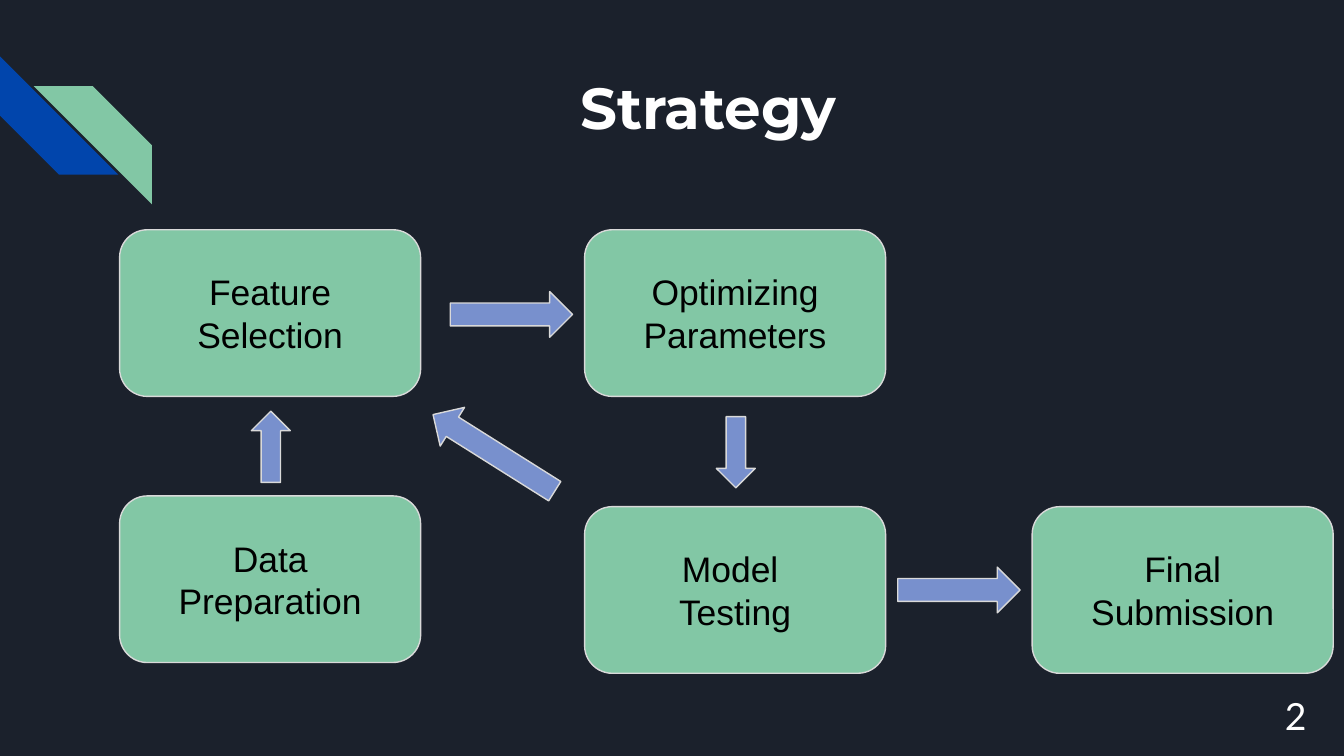
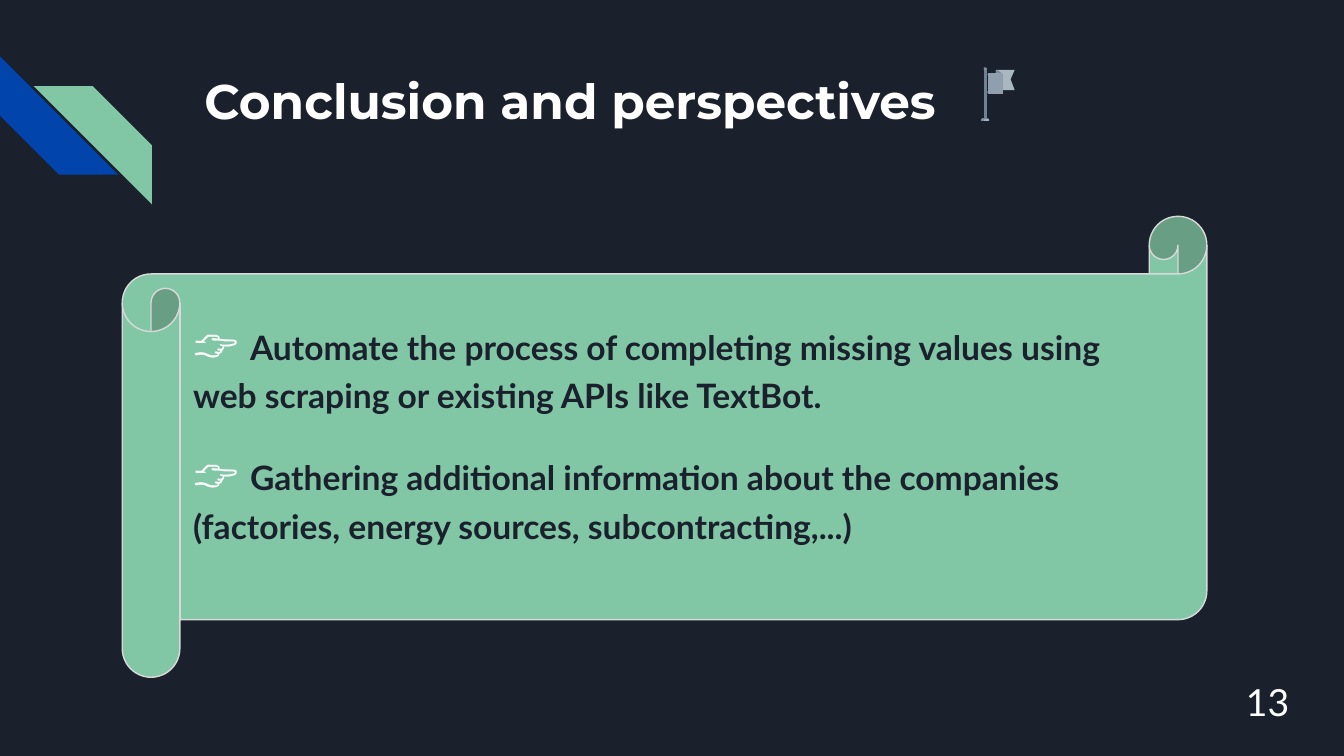
from typing import NamedTuple

from pptx import Presentation
from pptx.dml.color import RGBColor
from pptx.enum.shapes import MSO_SHAPE
from pptx.enum.text import MSO_ANCHOR, MSO_AUTO_SIZE, PP_ALIGN
from pptx.shapes.autoshape import Shape
from pptx.slide import Slide
from pptx.text.text import Font, TextFrame
from pptx.util import Inches, Pt

# Shared style
SLIDE_WIDTH = Inches(10)
SLIDE_HEIGHT = SLIDE_WIDTH * 9 // 16

NAVY = RGBColor(0x1B, 0x21, 0x2C)
BLUE = RGBColor(0x01, 0x45, 0xAC)
GREEN = RGBColor(0x82, 0xC7, 0xA5)
PERIWINKLE = RGBColor(0x78, 0x90, 0xCD)
OUTLINE = RGBColor(0xD9, 0xD9, 0xD9)
WHITE = RGBColor(0xFF, 0xFF, 0xFF)
BLACK = RGBColor(0x00, 0x00, 0x00)
FLAG_TAIL = RGBColor(0xAA, 0xB6, 0xC0)
FLAG_FOLD = RGBColor(0x7A, 0x8C, 0x9C)
FLAG_TIE = RGBColor(0x4B, 0x63, 0x7A)
FLAG_BANNER = RGBColor(0x90, 0x9F, 0xAD)
FLAG_POLE = RGBColor(0x6E, 0x82, 0x94)
FLAG_METAL = RGBColor(0x9F, 0xB3, 0xC4)
FLAG_SHADE = RGBColor(0x7F, 0x8E, 0x9D)

TITLE_FONT = "Montserrat"
BODY_FONT = "Lato"
BOX_FONT = "Arial"

ROUNDED = MSO_SHAPE.ROUNDED_RECTANGLE
STRIPE = MSO_SHAPE.DIAGONAL_STRIPE
SCROLL = MSO_SHAPE.HORIZONTAL_SCROLL
RIGHT_ARROW = MSO_SHAPE.RIGHT_ARROW
LEFT_ARROW = MSO_SHAPE.LEFT_ARROW
UP_ARROW = MSO_SHAPE.UP_ARROW
LEFT = PP_ALIGN.LEFT
CENTER = PP_ALIGN.CENTER
TOP = MSO_ANCHOR.TOP
MIDDLE = MSO_ANCHOR.MIDDLE
NO_AUTOFIT = MSO_AUTO_SIZE.NONE


class Area(NamedTuple):
    left: float
    top: float
    width: float
    height: float


class Step(NamedTuple):
    text: str
    left: float
    top: float


class Arrow(NamedTuple):
    kind: MSO_SHAPE
    area: Area
    rotation: float = 0


class FlagPart(NamedTuple):
    color: RGBColor
    points: list[tuple[float, float]]


# Strategy flow
COLUMNS = (0.89, 4.35, 7.68)
STEP_WIDTH, STEP_HEIGHT = 2.24, 1.24
STEPS = (
    Step("Feature Selection", COLUMNS[0], 1.71),
    Step("Optimizing Parameters", COLUMNS[1], 1.71),
    Step("Data Preparation", COLUMNS[0], 3.69),
    Step("Model \nTesting", COLUMNS[1], 3.77),
    Step("Final Submission", COLUMNS[2], 3.77),
)
ARROWS = (
    Arrow(RIGHT_ARROW, Area(3.35, 2.17, 0.91, 0.34)),
    Arrow(RIGHT_ARROW, Area(6.68, 4.22, 0.91, 0.34)),
    Arrow(UP_ARROW, Area(1.87, 3.06, 0.29, 0.53)),
    Arrow(UP_ARROW, Area(5.33, 3.1, 0.29, 0.53), 180),
    Arrow(LEFT_ARROW, Area(3.14, 3.2, 1.07, 0.34), 32.2),
)

# Conclusion content
PERSPECTIVES = (
    "Automate the process of completing missing values using web scraping "
    "or existing APIs like TextBot.",
    "Gathering additional information about the companies "
    "(factories, energy sources, subcontracting,...)",
)


def corners(left: float, top: float, right: float, bottom: float) -> list[tuple[float, float]]:
    return [(left, top), (right, top), (right, bottom), (left, bottom)]


FLAG_PARTS = (
    FlagPart(FLAG_TAIL, [(7.41, 0.52), (7.55, 0.52), (7.52, 0.59), (7.55, 0.67), (7.41, 0.67)]),
    FlagPart(FLAG_FOLD, [(7.42, 0.52), (7.46, 0.55), (7.41, 0.55), (7.41, 0.53)]),
    FlagPart(FLAG_TIE, corners(7.33, 0.55, 7.36, 0.56)),
    FlagPart(FLAG_TIE, corners(7.33, 0.68, 7.36, 0.69)),
    FlagPart(FLAG_BANNER, corners(7.35, 0.54, 7.46, 0.7)),
    FlagPart(FLAG_POLE, corners(7.32, 0.51, 7.34, 0.88)),
    FlagPart(FLAG_METAL, [(7.31, 0.88), (7.35, 0.88), (7.36, 0.89), (7.36, 0.9), (7.3, 0.9), (7.3, 0.89)]),
    FlagPart(FLAG_METAL, [(7.33, 0.5), (7.34, 0.51), (7.33, 0.52), (7.32, 0.51)]),
    FlagPart(FLAG_SHADE, [(7.31, 0.88), (7.33, 0.88), (7.32, 0.9), (7.3, 0.9), (7.3, 0.89)]),
    FlagPart(FLAG_SHADE, [(7.32, 0.5), (7.34, 0.51), (7.33, 0.52), (7.32, 0.52)]),
)


# Drawing helpers
def place(shape: Shape, area: Area) -> None:
    shape.left, shape.top, shape.width, shape.height = map(Inches, area)


def paint(shape: Shape, fill: RGBColor, outlined: bool) -> None:
    shape.shadow.inherit = False
    shape.fill.solid()
    shape.fill.fore_color.rgb = fill
    if outlined:
        shape.line.color.rgb = OUTLINE
        shape.line.width = Pt(0.75)
    else:
        shape.line.fill.background()


def add_filled(slide: Slide, kind: MSO_SHAPE, area: Area, fill: RGBColor, outlined: bool = True) -> Shape:
    shape = slide.shapes.add_shape(kind, *map(Inches, area))
    paint(shape, fill, outlined)
    return shape


def set_frame(frame: TextFrame, anchor: MSO_ANCHOR) -> None:
    frame.word_wrap = True
    frame.auto_size = NO_AUTOFIT
    frame.vertical_anchor = anchor
    frame.margin_left = frame.margin_right = Inches(0.1)
    frame.margin_top = frame.margin_bottom = Inches(0.1)


def set_font(font: Font, name: str, size: float, color: RGBColor, bold: bool = False) -> None:
    font.name = name
    font.size = Pt(size)
    font.color.rgb = color
    font.bold = bold


def write(shape: Shape, text: str, anchor: MSO_ANCHOR, alignment: PP_ALIGN,
          font_name: str, size: float, color: RGBColor, bold: bool = False) -> None:
    frame = shape.text_frame
    frame.text = text
    set_frame(frame, anchor)
    for paragraph in frame.paragraphs:
        paragraph.alignment = alignment
        for run in paragraph.runs:
            set_font(run.font, font_name, size, color, bold)


def add_base_slide(presentation: Presentation, title: str, title_size: float,
                   alignment: PP_ALIGN, number: str, number_area: Area) -> Slide:
    slide = presentation.slides.add_slide(presentation.slide_layouts[0])

    # Corner stripes
    blue_stripe = add_filled(slide, STRIPE, Area(0, 0.42, 0.88, 0.88), BLUE, outlined=False)
    blue_stripe.rotation = 270
    green_stripe = add_filled(slide, STRIPE, Area(0.25, 0.64, 0.88, 0.88), GREEN, outlined=False)
    green_stripe._element.spPr.xfrm.set("flipH", "1")

    # Title and slide number
    title_shape, number_shape = slide.shapes.title, slide.placeholders[1]
    place(title_shape, Area(1.42, 0.43, 7.7, 1))
    write(title_shape, title, TOP, alignment, TITLE_FONT, title_size, WHITE, bold=True)
    place(number_shape, number_area)
    write(number_shape, number, TOP, LEFT, BODY_FONT, 20, WHITE)
    paragraph = number_shape.text_frame.paragraphs[0]
    paragraph.line_spacing = 1.15
    paragraph.space_before = Pt(0)
    paragraph.space_after = Pt(12)
    return slide


def add_flag(slide: Slide) -> None:
    group = slide.shapes.add_group_shape()
    for part in FLAG_PARTS:
        points = [(Inches(x), Inches(y)) for x, y in part.points]
        builder = group.shapes.build_freeform(*points[0])
        builder.add_line_segments(points[1:], close=True)
        paint(builder.convert_to_shape(), part.color, outlined=False)


# Slides
def build_strategy(presentation: Presentation) -> None:
    slide = add_base_slide(presentation, "Strategy", 31, CENTER, "2", Area(9.46, 5.01, 0.35, 0.48))
    for step in STEPS:
        area = Area(step.left, step.top, STEP_WIDTH, STEP_HEIGHT)
        box = add_filled(slide, ROUNDED, area, GREEN)
        write(box, step.text, MIDDLE, CENTER, BOX_FONT, 19, BLACK)
    for arrow in ARROWS:
        shape = add_filled(slide, arrow.kind, arrow.area, PERIWINKLE)
        shape.rotation = arrow.rotation


def build_conclusion(presentation: Presentation) -> None:
    slide = add_base_slide(presentation, "Conclusion and perspectives", 26, LEFT,
                           "13", Area(9.17, 4.9, 0.54, 0.48))
    scroll = add_filled(slide, SCROLL, Area(0.91, 1.61, 8.07, 3.43), GREEN)
    frame = scroll.text_frame
    set_frame(frame, MIDDLE)
    frame.margin_bottom = Inches(0.4)
    for index, text in enumerate(PERSPECTIVES):
        paragraph = frame.add_paragraph() if index else frame.paragraphs[0]
        paragraph.alignment = LEFT
        paragraph.line_spacing = 1.15
        paragraph.space_before = Pt(12)
        pointer, statement = paragraph.add_run(), paragraph.add_run()
        pointer.text, statement.text = "👉 ", text
        set_font(pointer.font, BODY_FONT, 24, WHITE)
        set_font(statement.font, BODY_FONT, 18, NAVY, bold=True)
    add_flag(slide)


def main() -> None:
    presentation = Presentation()
    presentation.slide_width = SLIDE_WIDTH
    presentation.slide_height = SLIDE_HEIGHT
    background = presentation.slide_master.background.fill
    background.solid()
    background.fore_color.rgb = NAVY
    build_strategy(presentation)
    build_conclusion(presentation)
    presentation.save("out.pptx")


if __name__ == "__main__":
    main()
